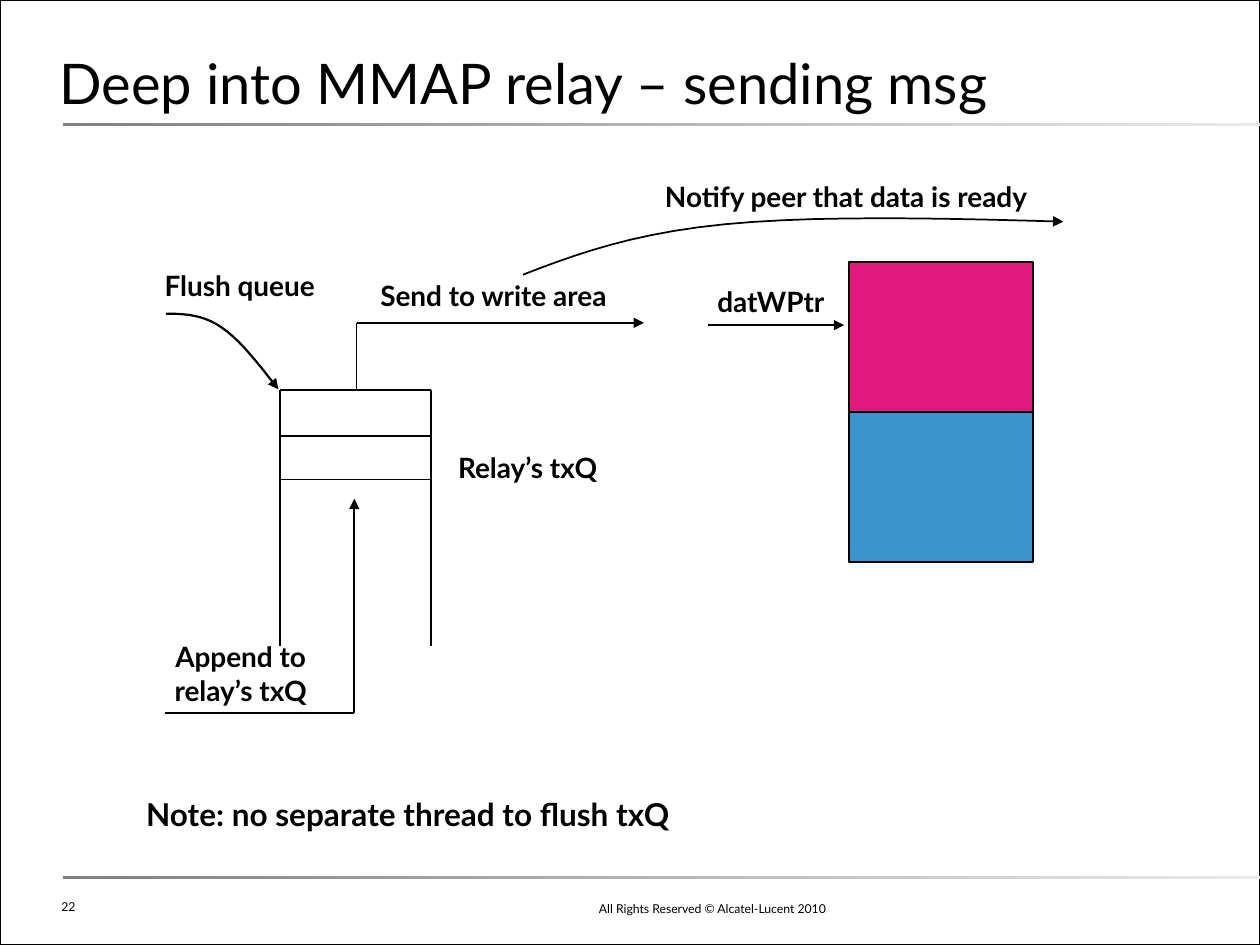
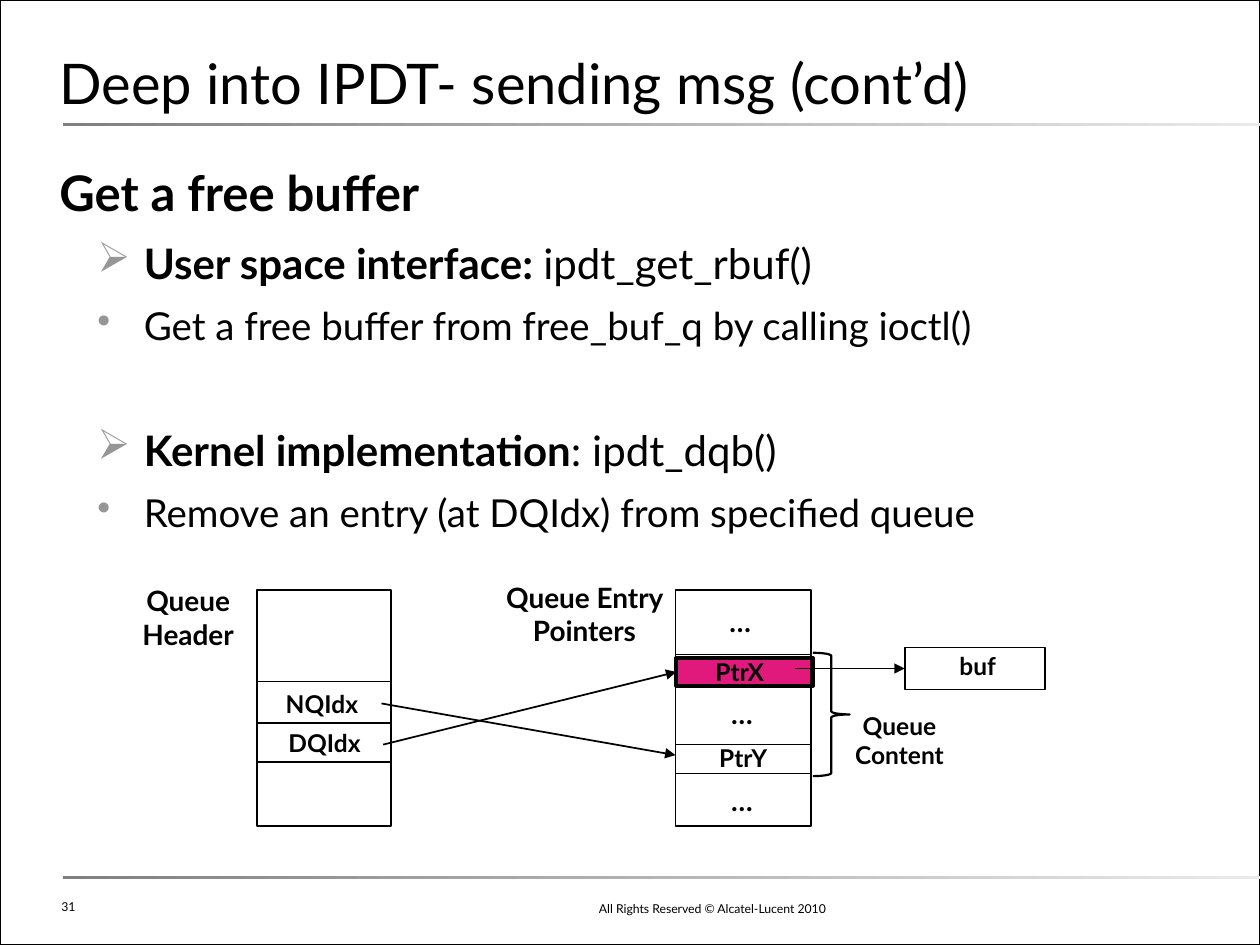
import pptx
import pptx.util
import pptx.dml.color
import pptx.enum.shapes
import pptx.enum.text
import pptx.oxml.ns
from lxml import etree

Pt = pptx.util.Pt
RGB = pptx.dml.color.RGBColor.from_string
qn = pptx.oxml.ns.qn
SHAPE = pptx.enum.shapes.MSO_SHAPE
STRAIGHT = pptx.enum.shapes.MSO_CONNECTOR.STRAIGHT
ALIGN = pptx.enum.text.PP_ALIGN
ANCHOR = pptx.enum.text.MSO_ANCHOR

FONT = "Lato"
COLORS = {
    "ink": "000000",
    "pink": "E1197D",
    "blue": "3B95CC",
    "bullet": "969696",
    "rule dark": "808080",
    "rule light": "EAEAEA",
}


def add_label(slide, text, left, top, width, height, size=16, bold=True,
              align=ALIGN.CENTER, insets=(8.6, 8.6), anchor=ANCHOR.TOP):
    """Add a wrapped one-paragraph text box; insets are (horizontal, vertical)."""
    frame = slide.shapes.add_textbox(Pt(left), Pt(top), Pt(width), Pt(height)).text_frame
    frame.word_wrap = True
    frame.vertical_anchor = anchor
    frame.margin_left = frame.margin_right = Pt(insets[0])
    frame.margin_top = frame.margin_bottom = Pt(insets[1])
    paragraph = frame.paragraphs[0]
    paragraph.text = text
    paragraph.alignment = align
    paragraph.font.name = FONT
    paragraph.font.size = Pt(size)
    paragraph.font.bold = bold
    paragraph.font.color.rgb = RGB(COLORS["ink"])
    return paragraph


def draw_outline(shape, width=1, arrow=False):
    """Give a shape or connector a plain ink line without shadow."""
    shape.line.color.rgb = RGB(COLORS["ink"])
    shape.line.width = Pt(width)
    properties = shape._element.spPr
    if arrow:
        etree.SubElement(properties.find(qn("a:ln")), qn("a:tailEnd"), type="triangle")
    etree.SubElement(properties, qn("a:effectLst"))


deck = pptx.Presentation()
deck.slide_width, deck.slide_height = Pt(720), Pt(540)

# Frame, rules, title and footer of every slide
slides = []
for title, number in [("Deep into MMAP relay – sending msg", "22"),
                      ("Deep into IPDT- sending msg (cont’d)", "31")]:
    slide = deck.slides.add_slide(deck.slide_layouts[6])
    slides.append(slide)
    border = slide.shapes.add_shape(SHAPE.RECTANGLE, 0, 0, deck.slide_width, deck.slide_height)
    border.fill.background()
    draw_outline(border)
    for rule_top in (70.5, 500.5):
        rule = slide.shapes.add_shape(SHAPE.RECTANGLE, Pt(36), Pt(rule_top), Pt(686), Pt(1.6))
        rule.shadow.inherit = False
        rule.line.fill.background()
        rule.fill.gradient()
        rule.fill.gradient_angle = 180
        for stop, tone in zip(rule.fill.gradient_stops, ("rule light", "rule dark")):
            stop.color.rgb = RGB(COLORS[tone])
    heading = add_label(slide, title, 34, 6, 652, 60, 32, False, ALIGN.LEFT, (0, 0), ANCHOR.BOTTOM)
    heading.line_spacing = 1.2
    add_label(slide, "All Rights Reserved © Alcatel-Lucent 2010", 252, 509, 227, 18, 7, False,
              ALIGN.RIGHT, (7.2, 3.6), ANCHOR.BOTTOM)
    add_label(slide, number, 28, 510.5, 305, 16.6, 7, False, ALIGN.LEFT, (7.2, 3.6))
relay, ipdt = slides

# Explanation above the queue diagram
frame = ipdt.shapes.add_textbox(Pt(34), Pt(93), Pt(652), Pt(398)).text_frame
frame.word_wrap = True
frame.margin_left = frame.margin_right = frame.margin_top = frame.margin_bottom = 0
outline = [
    # bullet, size, space before, bold part, regular part
    (None, 28, 0, "Get a free buffer", ""),
    ("➢", 24, 9, "User space interface: ", "ipdt_get_rbuf()"),
    ("•", 22, 8.2, "", "Get a free buffer from free_buf_q by calling ioctl()"),
    ("➢", 24, 43.6, "Kernel implementation", ": ipdt_dqb()"),
    ("•", 22, 8.2, "", "Remove an entry (at DQIdx) from specified queue"),
]
for index, (bullet, size, space, strong, regular) in enumerate(outline):
    paragraph = frame.paragraphs[0] if index == 0 else frame.add_paragraph()
    paragraph.space_before = Pt(space)
    if bullet:
        properties = paragraph._p.get_or_add_pPr()
        properties.set("marL", str(Pt(48.2)))
        properties.set("indent", str(Pt(-26.6)))
        bullet_color = etree.SubElement(properties, qn("a:buClr"))
        etree.SubElement(bullet_color, qn("a:srgbClr"), val=COLORS["bullet"])
        etree.SubElement(properties, qn("a:buChar"), char=bullet)
    paragraph.font.name = FONT
    paragraph.font.size = Pt(size)
    paragraph.font.color.rgb = RGB(COLORS["ink"])
    for words, bold in ((strong, True), (regular, False)):
        if words:
            run = paragraph.add_run()
            run.text = words
            run.font.bold = bold

# Boxes of both diagrams
boxes = {}
for name, slide, left, top, width, height, fill, weight in [
    ("write area", relay, 485.3, 149.8, 105, 85.7, "pink", 1),
    ("read area", relay, 485.3, 235.5, 105, 85.7, "blue", 1),
    ("PtrX", ipdt, 386.5, 376, 78, 16, "pink", 2.25),
    ("header", ipdt, 147, 337, 76.5, 135, None, 1),
    ("entries", ipdt, 386, 337, 77.5, 135, None, 1),
    ("buf", ipdt, 517, 370, 80, 24, None, 1),
]:
    box = slide.shapes.add_shape(SHAPE.RECTANGLE, Pt(left), Pt(top), Pt(width), Pt(height))
    if fill:
        box.fill.solid()
        box.fill.fore_color.rgb = RGB(COLORS[fill])
    else:
        box.fill.background()
    draw_outline(box, weight)
    boxes[name] = box

# Straight lines: slide, start, end, arrow, box whose left side the line joins
queue_left, queue_right, queue_top, queue_bottom = 160, 246.5, 223, 369
lines = [(relay, x, queue_top, x, queue_bottom, False, None) for x in (queue_left, queue_right)]
lines += [(relay, queue_left, y, queue_right, y, False, None) for y in (queue_top, 249, 274)]
lines += [(ipdt, 386, y, 463.5, y, False, None) for y in (374, 392.5, 425.5, 442)]
lines += [(ipdt, 147, y, 223.5, y, False, None) for y in (389.5, 413.3, 435.5)]
lines += [
    (relay, 94.5, 407.5, 202.5, 407.5, False, None),
    (relay, 202.5, 407.5, 202.5, 285, True, None),
    (relay, 203.8, queue_top, 203.8, 184.5, False, None),
    (relay, 203.8, 184.5, 368, 184.5, True, None),
    (relay, 404.6, 185.8, 482.4, 185.8, True, None),
    (ipdt, 218, 402, 386, 431.5, True, None),
    (ipdt, 219, 425.5, 386.5, 384, True, "PtrX"),
    (ipdt, 454.5, 382, 517, 382, True, "buf"),
]
for slide, x1, y1, x2, y2, arrow, target in lines:
    line = slide.shapes.add_connector(STRAIGHT, Pt(x1), Pt(y1), Pt(x2), Pt(y2))
    if target:
        line.end_connect(boxes[target], 1)
    draw_outline(line, 1, arrow)

# Curved arrows: chained cubic curves, each sharing its end with the next start
steps = 10
for weight, controls in [
    (1.25, [(95, 179.3), (105.8, 179.3), (116.6, 180), (126.7, 187.2),
            (137.5, 194.4), (148.3, 208.8), (159.1, 222.5)]),
    (1, [(298.8, 157), (330.5, 144.7), (362.9, 133.2), (414, 128.2),
         (465.8, 123.1), (536.4, 124.6), (607.7, 126.7)]),
]:
    points = []
    for first in range(0, len(controls) - 1, 3):
        a, b, c, d = controls[first:first + 4]
        for step in range(1, steps + 1):
            t = step / steps
            u = 1 - t
            points.append([Pt(u**3 * a[i] + 3 * u*u*t * b[i] + 3 * u*t*t * c[i] + t**3 * d[i])
                           for i in (0, 1)])
    builder = relay.shapes.build_freeform(Pt(controls[0][0]), Pt(controls[0][1]))
    builder.add_line_segments(points, close=False)
    curve = builder.convert_to_shape()
    curve.fill.background()
    draw_outline(curve, weight, True)

content_brace = ipdt.shapes.add_shape(SHAPE.RIGHT_BRACE, Pt(464.5), Pt(373), Pt(21), Pt(70.5))
content_brace.fill.background()
draw_outline(content_brace, 1.25)

# Diagram labels
for slide, text, left, top, width, height, size in [
    (relay, "Note: no separate thread to flush txQ", 47, 446, 372, 39, 18),
    (relay, "Relay’s txQ", 247, 249, 109, 36, 16),
    (relay, "Append to relay’s txQ", 72, 357, 131, 55, 16),
    (relay, "Flush queue", 71, 145, 132, 36, 16),
    (relay, "Send to write area", 189, 150.5, 186, 36, 16),
    (relay, "datWPtr", 391, 154, 99, 36, 16),
    (relay, "Notify peer that data is ready", 355, 94.3, 257, 36, 16),
    (ipdt, "Queue Header", 60, 325, 95, 55, 16),
    (ipdt, "Queue Entry Pointers", 268, 323, 132, 55, 16),
    (ipdt, "…", 394, 337, 58, 36, 16),
    (ipdt, "…", 395, 389.5, 58, 36, 16),
    (ipdt, "…", 395, 439, 58, 36, 16),
    (ipdt, "PtrX", 381, 367, 83.5, 34, 14),
    (ipdt, "PtrY", 383, 416, 83.5, 34, 14),
    (ipdt, "NQIdx", 151, 385, 66, 34, 14),
    (ipdt, "DQIdx", 152.5, 407.5, 66, 34, 14),
    (ipdt, "buf", 517, 363.5, 83.5, 34, 14),
    (ipdt, "Queue Content", 472, 397.5, 84, 50, 14),
]:
    add_label(slide, text, left, top, width, height, size)

deck.save("out.pptx")
